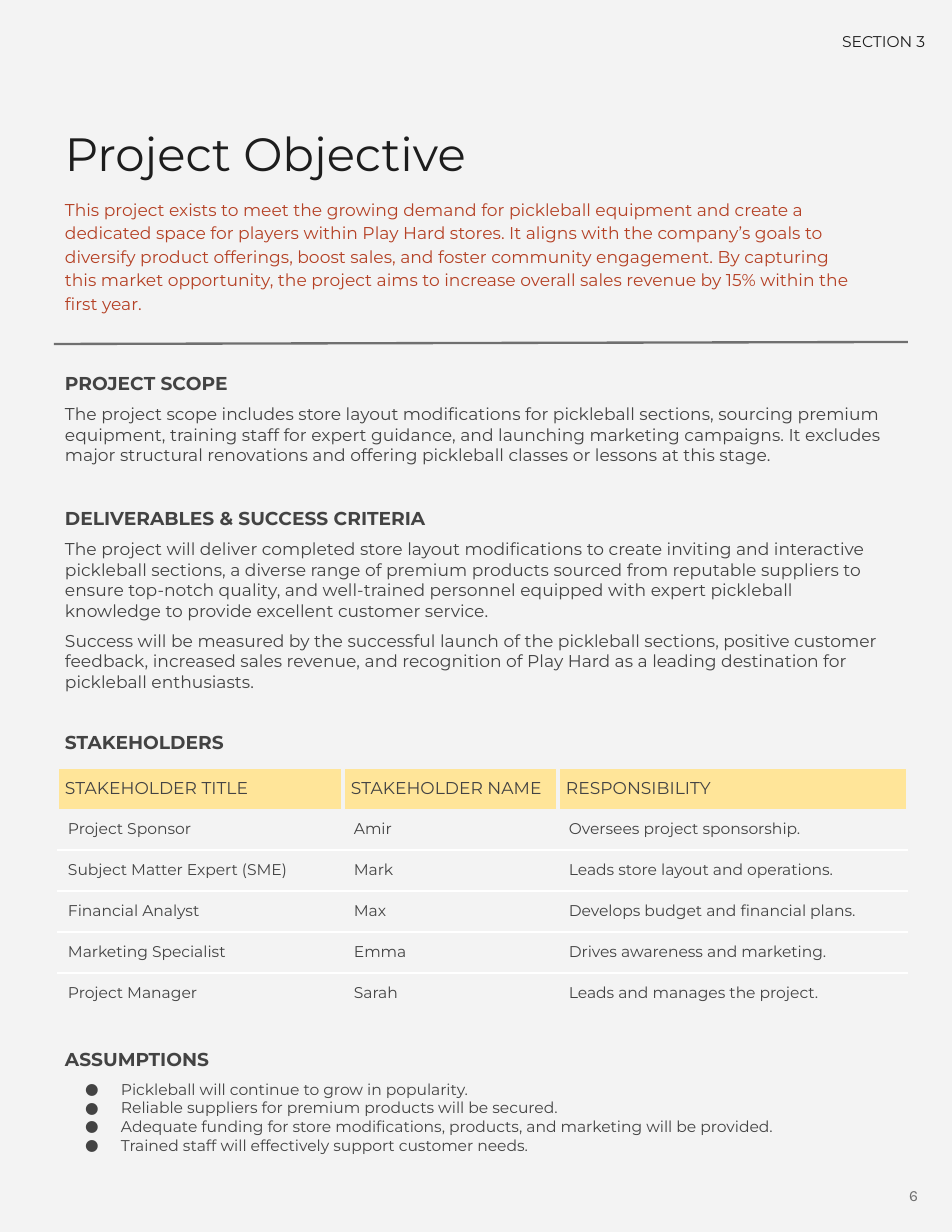
from lxml import etree
from pptx import Presentation, util as u
from pptx.dml.color import RGBColor
from pptx.enum import shapes, text
from pptx.oxml.ns import qn

PX = 914400 // 112
FONT = "Montserrat"
PAPER, INK, BODY, ACCENT = "F3F3F3", "1D1D1D", "434343", "B54125"
GREY, HEADER_FILL, WHITE = "6F6F6F", "FFE599", "FFFFFF"

TITLE = "Project Objective"
SUMMARY = (
    "This project exists to meet the growing demand for pickleball equipment and create a "
    "dedicated space for players within Play Hard stores. It aligns with the company’s goals to "
    "diversify product offerings, boost sales, and foster community engagement. By capturing "
    "this market opportunity, the project aims to increase overall sales revenue by 15% within "
    "the first year."
)
# top and height in px, heading, paragraphs, bullets
SECTIONS = [
    (361, 118, "PROJECT SCOPE", [
        "The project scope includes store layout modifications for pickleball sections, sourcing "
        "premium equipment, training staff for expert guidance, and launching marketing campaigns. "
        "It excludes major structural renovations and offering pickleball classes or lessons at "
        "this stage.",
    ], []),
    (496, 208, "DELIVERABLES & SUCCESS CRITERIA", [
        "The project will deliver completed store layout modifications to create inviting and "
        "interactive pickleball sections, a diverse range of premium products sourced from "
        "reputable suppliers to ensure top-notch quality, and well-trained personnel equipped "
        "with expert pickleball knowledge to provide excellent customer service.",
        "Success will be measured by the successful launch of the pickleball sections, positive "
        "customer feedback, increased sales revenue, and recognition of Play Hard as a leading "
        "destination for pickleball enthusiasts.",
    ], []),
    (720, 46, "STAKEHOLDERS", [], []),
    (1037, 132, "ASSUMPTIONS", [], [
        "Pickleball will continue to grow in popularity.",
        "Reliable suppliers for premium products will be secured.",
        "Adequate funding for store modifications, products, and marketing will be provided.",
        "Trained staff will effectively support customer needs.",
    ]),
]
STAKEHOLDERS = [
    ("STAKEHOLDER TITLE", "STAKEHOLDER NAME", "RESPONSIBILITY"),
    ("Project Sponsor", "Amir", "Oversees project sponsorship."),
    ("Subject Matter Expert (SME)", "Mark", "Leads store layout and operations."),
    ("Financial Analyst", "Max", "Develops budget and financial plans."),
    ("Marketing Specialist", "Emma", "Drives awareness and marketing."),
    ("Project Manager", "Sarah", "Leads and manages the project."),
]
COLUMN_WIDTHS = (286, 215, 350)
HEADER_HEIGHT, ROW_HEIGHT = 42, 41
NO_STYLE = "{2D5ABB26-0587-4C30-8999-92F81FD0307C}"


def px(*lengths):
    return [u.Emu(length * PX) for length in lengths]


def rgb(color):
    return RGBColor.from_string(color)


def set_margins(target, side, vertical):
    target.margin_left, target.margin_right = px(side, side)
    target.margin_top, target.margin_bottom = px(vertical, vertical)


def prepare_frame(shape):
    frame = shape.text_frame
    frame.word_wrap = True
    frame.auto_size = text.MSO_AUTO_SIZE.NONE
    frame.vertical_anchor = text.MSO_ANCHOR.TOP
    set_margins(frame, 11, 11)
    return frame


def write(frame, content, size=11, color=BODY, bold=False, font=FONT,
          align=text.PP_ALIGN.LEFT, before=0, spacing=1.0, bullet=False):
    """Fill the frame's first paragraph, or add one once that is taken."""
    paragraph = frame.paragraphs[0]
    if paragraph.runs:
        paragraph = frame.add_paragraph()
    paragraph.alignment = align
    paragraph.line_spacing = spacing
    paragraph.space_before = u.Pt(before)
    if bullet:
        properties = paragraph._p.get_or_add_pPr()
        indent, hanging = px(56, -36)
        properties.set("marL", str(indent))
        properties.set("indent", str(hanging))
        etree.SubElement(properties, qn("a:buFont")).set("typeface", FONT)
        etree.SubElement(properties, qn("a:buChar")).set("char", "●")
    run = paragraph.add_run()
    run.text = content
    run.font.size, run.font.bold, run.font.name = u.Pt(size), bold, font
    run.font.color.rgb = rgb(color)


def add_frame(slide, left, top, width, height):
    return prepare_frame(slide.shapes.add_textbox(*px(left, top, width, height)))


def set_borders(cell, sides, color, points):
    """Draw the given sides (in the order L, R, T, B), ahead of the cell's fill."""
    properties = cell._tc.get_or_add_tcPr()
    for position, side in enumerate(sides):
        line = etree.Element(qn(f"a:ln{side}"), w=str(u.Pt(points)))
        fill = etree.SubElement(line, qn("a:solidFill"))
        etree.SubElement(fill, qn("a:srgbClr")).set("val", color)
        properties.insert(position, line)


def add_stakeholder_table(slide):
    body_rows = len(STAKEHOLDERS) - 1
    height = HEADER_HEIGHT + body_rows * ROW_HEIGHT
    table = slide.shapes.add_table(
        len(STAKEHOLDERS), len(COLUMN_WIDTHS), *px(57, 767, sum(COLUMN_WIDTHS), height)).table
    table.first_row = True
    table.horz_banding = False
    table._tbl.tblPr.find(qn("a:tableStyleId")).text = NO_STYLE
    for column, width in zip(table.columns, COLUMN_WIDTHS):
        column.width = px(width)[0]
    for row_index, values in enumerate(STAKEHOLDERS):
        header = row_index == 0
        table.rows[row_index].height = px(HEADER_HEIGHT if header else ROW_HEIGHT)[0]
        for column_index, value in enumerate(values):
            cell = table.cell(row_index, column_index)
            write(cell.text_frame, value, size=11 if header else 10)
            if header:
                set_margins(cell, 8, 0)
                cell.vertical_anchor = text.MSO_ANCHOR.MIDDLE
                cell.fill.solid()
                cell.fill.fore_color.rgb = rgb(HEADER_FILL)
                set_borders(cell, "LRT", PAPER, 3)
            else:
                set_margins(cell, 11, 11)
                cell.fill.background()
                sides = ("T" if row_index > 1 else "") + ("B" if row_index < body_rows else "")
                set_borders(cell, sides, WHITE, 1.5)


def add_divider(slide):
    line = slide.shapes.add_connector(shapes.MSO_CONNECTOR.STRAIGHT, *px(54, 344, 908, 342))
    line.line.color.rgb = rgb(GREY)
    line.line.width = u.Pt(1.5)
    etree.SubElement(line._element.spPr, qn("a:effectLst"))


def main():
    presentation = Presentation()
    presentation.slide_width, presentation.slide_height = u.Inches(8.5), u.Inches(11)
    slide = presentation.slides.add_slide(presentation.slide_layouts[5])
    slide.background.fill.solid()
    slide.background.fill.fore_color.rgb = rgb(PAPER)

    title = slide.shapes.title
    title.left, title.top, title.width, title.height = px(54, 114, 804, 80)
    write(prepare_frame(title), TITLE, size=30, color=INK)
    right = text.PP_ALIGN.RIGHT
    write(add_frame(slide, 780, 21, 156, 46), "SECTION 3", size=10, color=INK, align=right)
    write(add_frame(slide, 54, 185, 808, 133), SUMMARY, color=ACCENT, spacing=1.15)
    add_divider(slide)

    for top, height, heading, paragraphs, bullets in SECTIONS:
        frame = add_frame(slide, 54, top, 851, height)
        write(frame, heading, size=12, bold=True)
        for content in paragraphs:
            write(frame, content, before=6)
        for index, content in enumerate(bullets):
            write(frame, content, size=10, before=0 if index else 6, bullet=True)

    add_stakeholder_table(slide)
    write(add_frame(slide, 872, 1175, 57, 46), "6", size=10, color=GREY, font="Karla", align=right)
    presentation.save("out.pptx")


if __name__ == "__main__":
    main()
